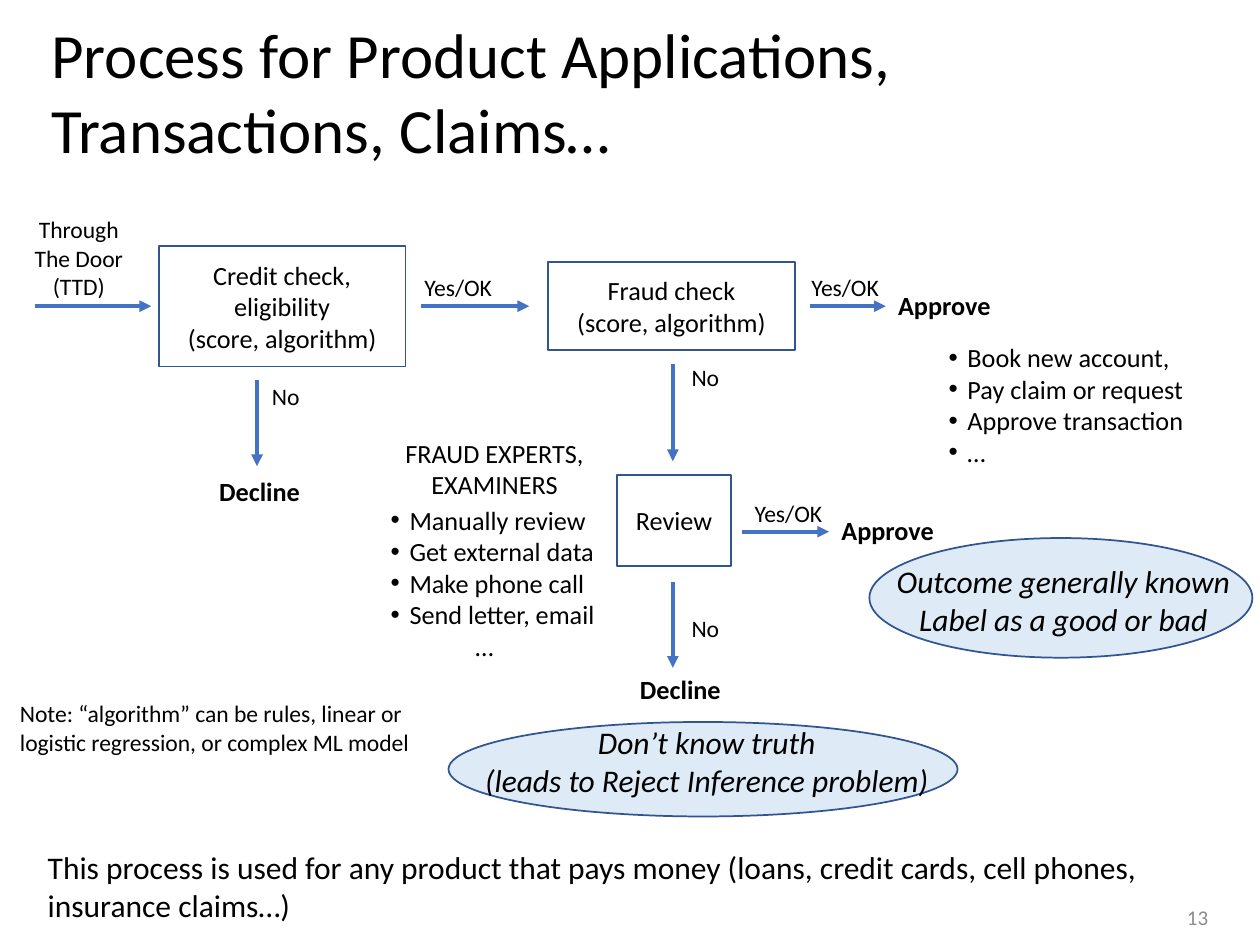
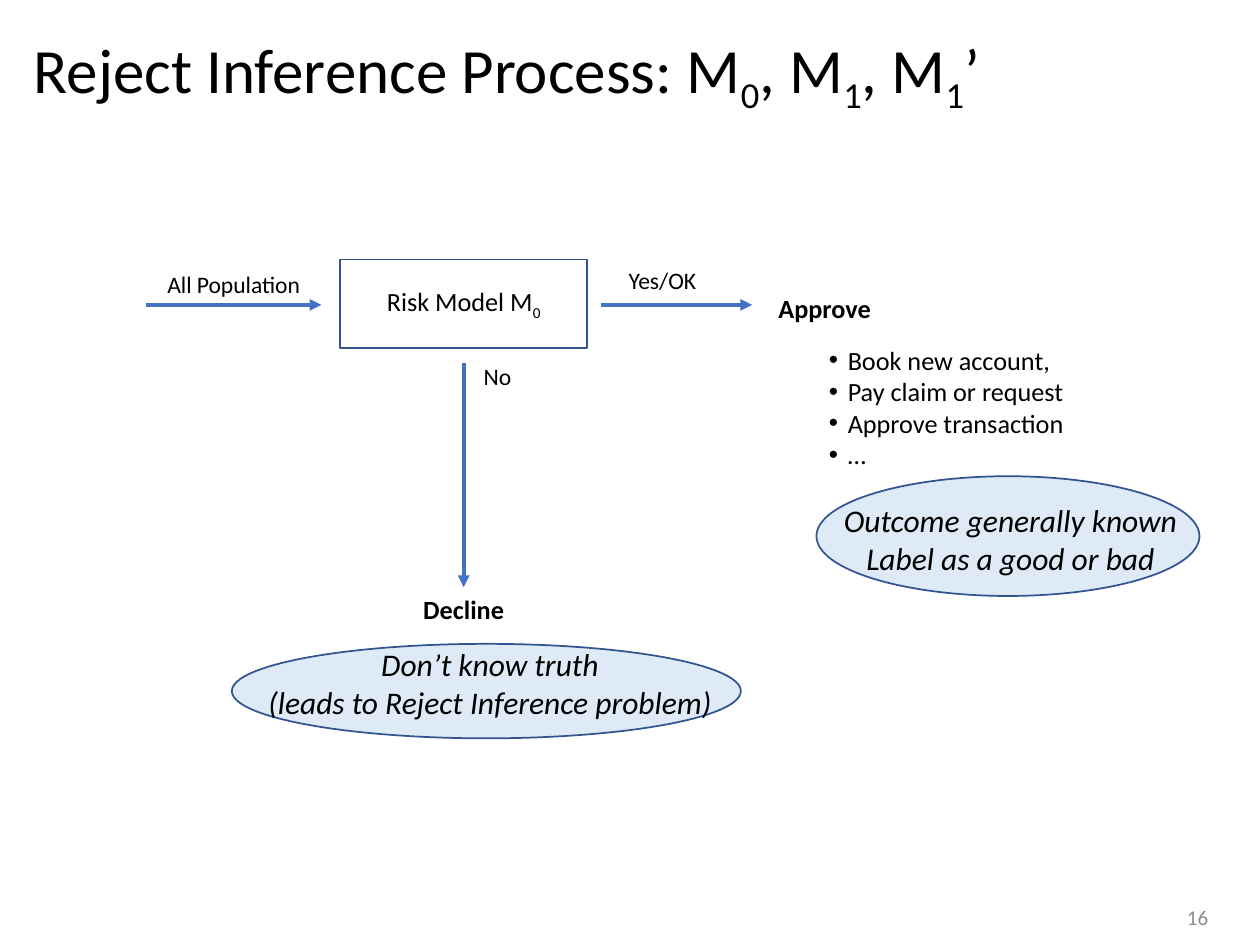
from dataclasses import dataclass, field
from typing import NamedTuple

from lxml import etree
from pptx import Presentation, util as u
from pptx.dml.color import RGBColor
from pptx.enum import shapes, text
from pptx.oxml.ns import qn

COLUMNS, ROWS = 100, 75
SLIDE_WIDTH, SLIDE_HEIGHT = u.Inches(10), u.Inches(7.5)
LEFT, CENTER = text.PP_ALIGN.LEFT, text.PP_ALIGN.CENTER
SUBSCRIPT = "-25000"


@dataclass(frozen=True)
class Theme:
    font: str = "Calibri"
    ink: str = "000000"
    muted: str = "8C8C8C"
    arrow: str = "4472C4"
    outline: str = "325491"
    bubble: str = "DEEBF7"
    outline_width: float = 1
    arrow_width: float = 2.25
    styles: dict = field(default_factory=lambda: {
        "title": {"size": u.Pt(36)},
        "statement": {"size": u.Pt(18)},
        "verdict": {"size": u.Pt(18), "italic": True},
        "body": {"size": u.Pt(15)},
        "outcome": {"size": u.Pt(15), "bold": True},
        "label": {"size": u.Pt(13.5)},
        "page": {"size": u.Pt(12)},
    })


THEME = Theme()


class Box(NamedTuple):
    left: float
    top: float
    width: float
    height: float

    def within(self, column, row, width, height):
        return Box(self.left + column, self.top + row, width, height)

    def emu(self):
        return (across(self.left), down(self.top), across(self.width), down(self.height))


@dataclass(frozen=True)
class Branch:
    gap: float
    length: float
    label_column: float
    label_row: float
    shift: float = 0


def across(columns):
    return u.Emu(round(SLIDE_WIDTH * columns / COLUMNS))


def down(rows):
    return u.Emu(round(SLIDE_HEIGHT * rows / ROWS))


def add_run(paragraph, words, style, color, lowered=False):
    if not words:
        return
    run = paragraph.add_run()
    run.text = words
    for name, value in {"name": THEME.font, **THEME.styles[style]}.items():
        setattr(run.font, name, value)
    run.font.color.rgb = RGBColor.from_string(color)
    if lowered:
        run.font._element.set("baseline", SUBSCRIPT)


def write_line(paragraph, line, style, color=THEME.ink):
    first, *lowered_pieces = line.split("_")
    add_run(paragraph, first, style, color)
    for piece in lowered_pieces:
        add_run(paragraph, piece[0], style, color, lowered=True)
        add_run(paragraph, piece[1:], style, color)


def set_bullet(paragraph, margin):
    properties = paragraph._p.get_or_add_pPr()
    properties.set("marL", str(u.Inches(margin)))
    properties.set("indent", str(-u.Inches(0.15)))
    etree.SubElement(properties, qn("a:buFont")).set("typeface", "Arial")
    etree.SubElement(properties, qn("a:buChar")).set("char", "•")


def fill_frame(frame, lines, style, align=LEFT, bullets=0, margin=0.15, color=THEME.ink, **layout):
    for name, value in {"word_wrap": False, **layout}.items():
        setattr(frame, name, value)
    for index, line in enumerate(lines):
        paragraph = frame.add_paragraph() if index else frame.paragraphs[0]
        if index < bullets:
            set_bullet(paragraph, margin)
            paragraph.alignment = LEFT
        else:
            paragraph.alignment = align
        write_line(paragraph, line, style, color)


def add_text(slide, box, lines, style, **options):
    frame = slide.shapes.add_textbox(*box.emu()).text_frame
    fill_frame(frame, lines, style, **options)


def add_outlined(slide, kind, box, fill=None):
    shape = slide.shapes.add_shape(kind, *box.emu())
    shape.shadow.inherit = False
    if fill:
        shape.fill.solid()
        shape.fill.fore_color.rgb = RGBColor.from_string(fill)
    else:
        shape.fill.background()
    shape.line.color.rgb = RGBColor.from_string(THEME.outline)
    shape.line.width = u.Pt(THEME.outline_width)
    return shape


def add_arrow(slide, column, row, run=0, drop=0):
    arrow = slide.shapes.add_connector(
        shapes.MSO_CONNECTOR.STRAIGHT,
        across(column), down(row), across(column + run), down(row + drop))
    arrow.line.color.rgb = RGBColor.from_string(THEME.arrow)
    arrow.line.width = u.Pt(THEME.arrow_width)
    etree.SubElement(arrow.line._get_or_add_ln(), qn("a:tailEnd")).set("type", "triangle")
    etree.SubElement(arrow._element.spPr, qn("a:effectLst"))


def add_check(slide, box, lines, yes, no):
    check = add_outlined(slide, shapes.MSO_SHAPE.RECTANGLE, box)
    fill_frame(check.text_frame, lines, "body", align=CENTER,
               vertical_anchor=text.MSO_ANCHOR.MIDDLE)

    yes_start = box.within(box.width + yes.gap, box.height / 2 + yes.shift, 7.5, 3.3)
    add_arrow(slide, yes_start.left, yes_start.top, run=yes.length)
    add_text(slide, yes_start.within(yes.label_column, yes.label_row, 7.5, 3.3),
             ["Yes/OK"], "label")

    no_start = box.within(box.width / 2 + no.shift, box.height + no.gap, 4.2, 3.3)
    add_arrow(slide, no_start.left, no_start.top, drop=no.length)
    add_text(slide, no_start.within(no.label_column, no.label_row, 4.2, 3.3),
             ["No"], "label")


def add_intake(slide, box, lines, label_column, label_width):
    add_arrow(slide, box.left, box.top + box.height, run=box.width)
    add_text(slide, box.within(label_column, 0, label_width, box.height),
             lines, "label", align=CENTER)


def add_outcome(slide, box, word):
    add_text(slide, box, [word], "outcome")


def add_approval(slide, box):
    add_outcome(slide, box.within(0, 0, 9.4, 3.5), "Approve")
    actions = ["Book new account,", "Pay claim or request", "Approve transaction", "…"]
    add_text(slide, box.within(4, 4.1, 20.8, 11.1), actions, "body", bullets=len(actions))


def add_known_truth(slide, column, row):
    box = Box(column, row, 30.4, 9.5)
    add_outlined(slide, shapes.MSO_SHAPE.OVAL, box, THEME.bubble)
    add_text(slide, box.within(1.05, 1.45, 28.7, 7.1),
             ["Outcome generally known", "Label as a good or bad"], "verdict", align=CENTER)


def add_unknown_truth(slide, column, row):
    box = Box(column, row, 40.4, 7.5)
    add_outlined(slide, shapes.MSO_SHAPE.OVAL, box, THEME.bubble)
    add_text(slide, box.within(1.7, -0.4, 37.6, 7.1),
             ["Don’t know truth", "(leads to Reject Inference problem)"], "verdict", align=CENTER)


def add_experts(slide, box):
    add_text(slide, box.within(1.4, 0, 16.3, 6.1), ["FRAUD EXPERTS,", "EXAMINERS"],
             "body", align=CENTER)
    tasks = ["Manually review", "Get external data", "Make phone call", "Send letter, email"]
    add_text(slide, box.within(0, 5.3, box.width, 13.6), tasks + ["…"], "body", align=CENTER,
             bullets=len(tasks), margin=0.28, margin_left=0)


def add_frame(prs, title_box, title, page):
    slide = prs.slides.add_slide(prs.slide_layouts[6])
    add_text(slide, title_box, [title], "title", word_wrap=True)
    add_text(slide, Box(93.1, 70.75, 3.9, 4), [page], "page", align=CENTER,
             color=THEME.muted, word_wrap=True, vertical_anchor=text.MSO_ANCHOR.MIDDLE)
    return slide


def build_application_process(prs):
    slide = add_frame(prs, Box(3.1, 0.7, 93.9, 13.1),
                      "Process for Product Applications, Transactions, Claims…", "13")
    add_unknown_truth(slide, 35.6, 57.3)
    add_known_truth(slide, 69, 42.7)
    add_intake(slide, Box(2.8, 16.6, 9.2, 7.7), ["Through", "The Door", "(TTD)"], -1.1, 9.1)
    add_check(slide, Box(12.6, 19.5, 19.6, 9.6),
              ["Credit check,", "eligibility", "(score, algorithm)"],
              yes=Branch(1.2, 8.6, -0.7, -3.1), no=Branch(1.1, 6.8, 0.2, -0.4, shift=-2))
    add_check(slide, Box(43.5, 20.8, 19.6, 7), ["Fraud check", "(score, algorithm)"],
              yes=Branch(1.2, 6, -0.9, -3.1), no=Branch(1.1, 7.7, 0.5, -0.6, shift=0.1))
    add_check(slide, Box(49, 37.7, 9, 7.2), ["Review"],
              yes=Branch(0.9, 6.9, 0, -3.1, shift=0.9), no=Branch(1.3, 6.8, 0.5, 2, shift=-0.1))
    add_approval(slide, Box(70.3, 22.5, 24.8, 15.2))
    add_experts(slide, Box(29.7, 34.2, 18.8, 18.9))
    add_outcome(slide, Box(16.4, 37.2, 8.5, 3.5), "Decline")
    add_outcome(slide, Box(65.8, 40.3, 9.4, 3.5), "Approve")
    add_outcome(slide, Box(49.8, 52.9, 8.5, 3.5), "Decline")
    add_text(slide, Box(0.6, 55, 35.6, 5.6),
             ["Note: “algorithm” can be rules, linear or logistic regression, or complex ML model"],
             "label", word_wrap=True)
    add_text(slide, Box(2.8, 66.8, 89.2, 7.1),
             ["This process is used for any product that pays money "
              "(loans, credit cards, cell phones, insurance claims…)"],
             "statement", word_wrap=True)


def build_reject_inference(prs):
    slide = add_frame(prs, Box(1.7, 1.9, 95, 7.1),
                      "Reject Inference Process: M_0, M_1, M_1’", "16")
    add_unknown_truth(slide, 18.4, 51.1)
    add_known_truth(slide, 64.8, 37.8)
    add_intake(slide, Box(11.6, 20.9, 13.9, 3.3), ["All Population"], 0.6, 12.7)
    add_check(slide, Box(27, 20.6, 19.6, 7), ["Risk Model M_0"],
              yes=Branch(1.1, 12, 1.2, -3.6, shift=0.1), no=Branch(1.2, 17.8, 0.6, -0.6))
    add_approval(slide, Box(60.8, 22.7, 24.8, 15.2))
    add_outcome(slide, Box(32.6, 46.6, 8.5, 3.5), "Decline")


def main():
    prs = Presentation()
    prs.slide_width, prs.slide_height = SLIDE_WIDTH, SLIDE_HEIGHT
    build_application_process(prs)
    build_reject_inference(prs)
    prs.save("out.pptx")


if __name__ == "__main__":
    main()
